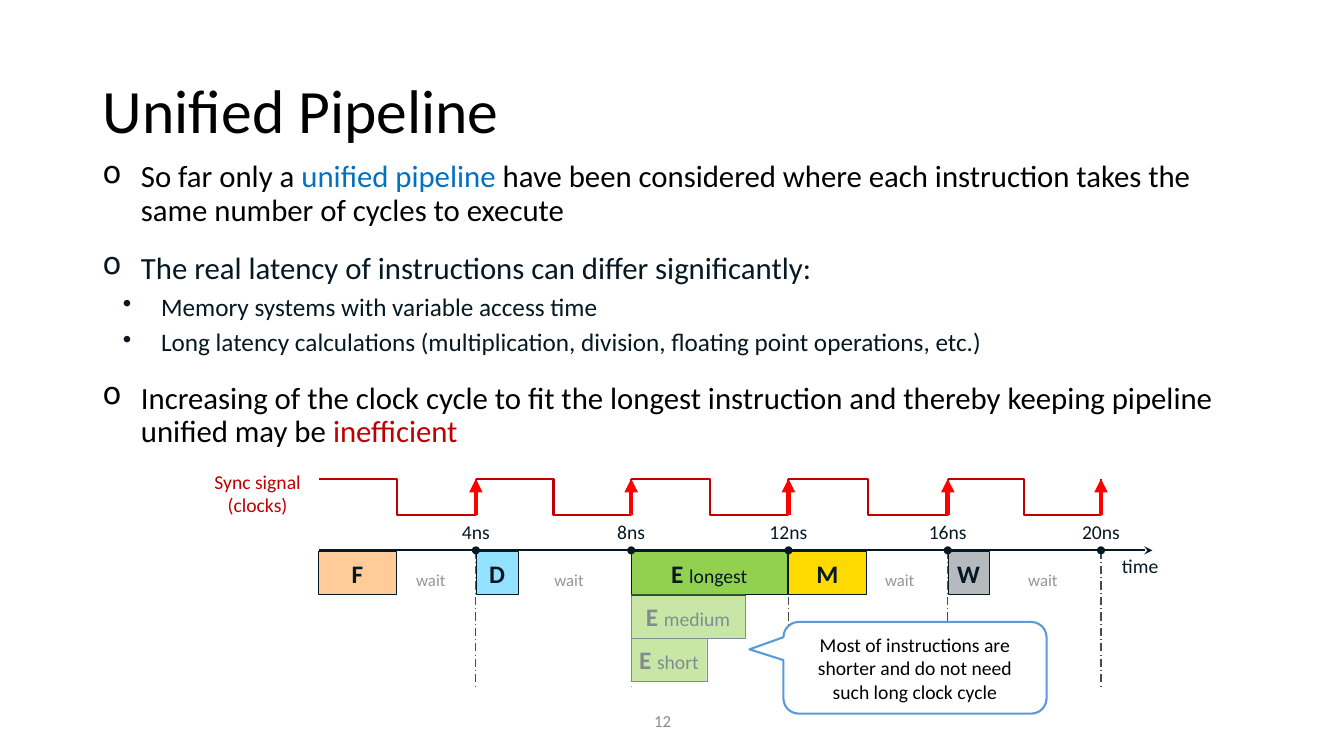
from lxml import etree
from pptx import Presentation
from pptx.dml.color import RGBColor
from pptx.enum.dml import MSO_LINE
from pptx.enum.shapes import MSO_CONNECTOR, MSO_SHAPE
from pptx.enum.text import MSO_ANCHOR, PP_ALIGN
from pptx.oxml.ns import qn
from pptx.util import Inches, Pt

RECT, OVAL = MSO_SHAPE.RECTANGLE, MSO_SHAPE.OVAL
CALLOUT = MSO_SHAPE.ROUNDED_RECTANGULAR_CALLOUT
STRAIGHT, DASH = MSO_CONNECTOR.STRAIGHT, MSO_LINE.LONG_DASH_DOT
LEFT, CENTER = PP_ALIGN.LEFT, PP_ALIGN.CENTER
TOP, MIDDLE, BOTTOM = MSO_ANCHOR.TOP, MSO_ANCHOR.MIDDLE, MSO_ANCHOR.BOTTOM

BLACK = RGBColor(0x00, 0x00, 0x00)
WHITE = RGBColor(0xFF, 0xFF, 0xFF)
INK = RGBColor(0x06, 0x19, 0x22)
BLUE = RGBColor(0x00, 0x71, 0xC5)
SKY = RGBColor(0x5B, 0x9B, 0xD5)
CRIMSON = RGBColor(0xC0, 0x00, 0x00)
RED = RGBColor(0xFF, 0x00, 0x00)
GRAY = RGBColor(0x93, 0x95, 0x98)
PAGE = RGBColor(0x8C, 0x8C, 0x8C)
SLATE = RGBColor(0x49, 0x4A, 0x4D)
PEACH = RGBColor(0xFF, 0xCC, 0x99)
CYAN = RGBColor(0x93, 0xE2, 0xFF)
GREEN = RGBColor(0x92, 0xD0, 0x50)
YELLOW = RGBColor(0xFF, 0xDA, 0x00)
SILVER = RGBColor(0xB4, 0xBA, 0xBD)

EDGES = [3.16, 4.72, 6.26, 7.82, 9.4, 10.92]
HIGH, LOW, AXIS, ROW, STEP = 4.75, 5.11, 5.46, 5.47, 0.43

BODY = [
    (0, [("So far only a ", BLACK), ("unified pipeline", BLUE),
         (" have been considered where each instruction takes the same number of cycles to execute", BLACK)]),
    (0, [("The real latency of instructions can differ significantly:", INK)]),
    (1, [("Memory systems with variable access time", INK)]),
    (1, [("Long latency calculations (multiplication, division, floating point operations, etc.)", INK)]),
    (0, [("Increasing of the clock cycle to fit the longest instruction and thereby keeping pipeline unified may be ", BLACK),
         ("inefficient", CRIMSON)]),
]
LEVELS = [("o", 22, 18, 0.38), ("•", 18, 6, 0.58)]

STAGES = [
    (3.16, 0, 0.77, "F", "", PEACH),
    (4.72, 0, 0.42, "D", "", CYAN),
    (6.26, 0, 1.55, "E ", "longest", GREEN),
    (7.82, 0, 0.77, "M", "", YELLOW),
    (9.4, 0, 0.41, "W", "", SILVER),
    (6.26, 1, 1.13, "E ", "medium", GREEN),
    (6.26, 2, 0.75, "E ", "short", GREEN),
]


def write(par, text, size=14, color=INK, bold=False, font="Calibri"):
    run = par.add_run()
    run.text = text
    run.font.name, run.font.size, run.font.bold = font, Pt(size), bold
    run.font.color.rgb = color


class Sheet:
    """Holds the slide and the style of its elements."""

    def __init__(self, deck):
        self.slide = deck.slides.add_slide(deck.slide_layouts[5])
        self.shapes = self.slide.shapes

    def title(self, text):
        box = self.shapes.title
        box.left, box.top, box.width, box.height = map(Inches, (0.92, 0.4, 11.5, 1.45))
        box.text_frame.vertical_anchor = MIDDLE
        par = box.text_frame.paragraphs[0]
        par.alignment, par.line_spacing = LEFT, 0.9
        write(par, text, size=44, color=BLACK)

    def frame(self, x, y, w, h, wrap=False, anchor=TOP):
        frame = self.shapes.add_textbox(*map(Inches, (x, y, w, h))).text_frame
        frame.word_wrap, frame.vertical_anchor = wrap, anchor
        return frame

    def label(self, x, y, w, h, lines, align=LEFT, anchor=TOP, **style):
        frame = self.frame(x, y, w, h, anchor=anchor)
        for num, line in enumerate(lines.split("\n")):
            par = frame.add_paragraph() if num else frame.paragraphs[0]
            par.alignment = align
            write(par, line, **style)

    def bullets(self, items):
        frame = self.frame(0.92, 1.55, 11.5, 4.96, wrap=True)
        for num, (level, runs) in enumerate(items):
            mark, size, gap, margin = LEVELS[level]
            par = frame.add_paragraph() if num else frame.paragraphs[0]
            par.level, par.line_spacing = level, 0.9
            if num:
                par.space_before = Pt(gap)
            props = par._p.get_or_add_pPr()
            props.set("marL", str(Inches(margin)))
            props.set("indent", str(-Inches(0.38)))
            etree.SubElement(props, qn("a:buChar")).set("char", mark)
            for text, color in runs:
                write(par, text, size=size, color=color)

    def shape(self, kind, x, y, w, h, fill, line=None, width=0.25, alpha=None):
        shape = self.shapes.add_shape(kind, *map(Inches, (x, y, w, h)))
        shape.shadow.inherit = False
        shape.fill.solid()
        shape.fill.fore_color.rgb = fill
        if alpha:
            tint = shape.fill._xPr.find(".//" + qn("a:srgbClr"))
            etree.SubElement(tint, qn("a:alpha")).set("val", str(alpha * 1000))
        if line is None:
            shape.line.fill.background()
        else:
            shape.line.color.rgb, shape.line.width = line, Pt(width)
        return shape

    def stage(self, x, row, w, name, note, fill):
        box = self.shape(RECT, x, ROW + row * STEP, w, STEP, fill, INK)
        box.text_frame.word_wrap = False
        box.text_frame.vertical_anchor = MIDDLE
        par = box.text_frame.paragraphs[0]
        par.alignment = CENTER
        write(par, name, size=18, bold=True)
        if note:
            write(par, note)

    def callout(self, text):
        box = self.shape(CALLOUT, 7.77, 6.17, 2.61, 0.91, WHITE, SKY, 1.5)
        for num, value in enumerate((-0.629, -0.201, 0.167)):
            box.adjustments[num] = value
        box.text_frame.word_wrap = True
        box.text_frame.vertical_anchor = MIDDLE
        par = box.text_frame.paragraphs[0]
        par.alignment = CENTER
        write(par, text, color=BLACK)

    def line(self, x1, y1, x2, y2, color, width, dash=None, head=None):
        line = self.shapes.add_connector(STRAIGHT, *map(Inches, (x1, y1, x2, y2)))
        line.line.color.rgb, line.line.width = color, Pt(width)
        if dash:
            line.line.dash_style = dash
        if head:
            etree.SubElement(line.line._get_or_add_ln(), qn("a:tailEnd")).set("type", head)
        etree.SubElement(line._element.spPr, qn("a:effectLst"))

    def wave(self, start, end):
        mid = (start + end) / 2
        path = self.shapes.build_freeform(Inches(start), Inches(HIGH))
        turns = [(mid, HIGH), (mid, LOW), (end, LOW), (end, HIGH)]
        path.add_line_segments([(Inches(x), Inches(y)) for x, y in turns], close=False)
        wave = path.convert_to_shape()
        wave.shadow.inherit = False
        wave.fill.background()
        wave.line.color.rgb, wave.line.width = CRIMSON, Pt(1.5)


def main():
    deck = Presentation()
    deck.slide_width, deck.slide_height = Inches(13.33), Inches(7.5)
    sheet = Sheet(deck)
    sheet.title("Unified Pipeline")
    sheet.bullets(BODY)
    sheet.label(6.39, 6.95, 0.79, 0.4, "12", anchor=MIDDLE, size=12, color=PAGE)

    for edge in EDGES[1:]:
        sheet.line(edge, AXIS, edge, 6.82, SLATE, 0.75, dash=DASH)
    for stage in STAGES:
        sheet.stage(*stage)
    for x in (4.03, 5.4, 8.68, 10.1):
        sheet.label(x, 5.6, 0.5, 0.3, "wait", size=12, color=GRAY)
    sheet.shape(RECT, 6.26, 5.91, 1.33, 0.93, WHITE, alpha=50)
    sheet.callout("Most of instructions are shorter and do not need such long clock cycle")

    sheet.label(2.02, 4.61, 1.07, 0.57, "Sync signal\n(clocks)", align=CENTER, color=CRIMSON)
    sheet.line(EDGES[0], AXIS, 11.43, AXIS, INK, 1.5, head="stealth")
    sheet.label(11.03, 5.45, 0.57, 0.34, "time")
    for num, (start, end) in enumerate(zip(EDGES, EDGES[1:]), 1):
        sheet.wave(start, end)
        sheet.line(end, LOW, end, HIGH, RED, 3.25, head="triangle")
        sheet.shape(OVAL, end - 0.04, AXIS - 0.04, 0.08, 0.08, INK)
        sheet.label(end - 0.29, 5.1, 0.58, 0.34, f"{4 * num}ns", align=CENTER, anchor=BOTTOM)
    deck.save("out.pptx")


if __name__ == "__main__":
    main()
